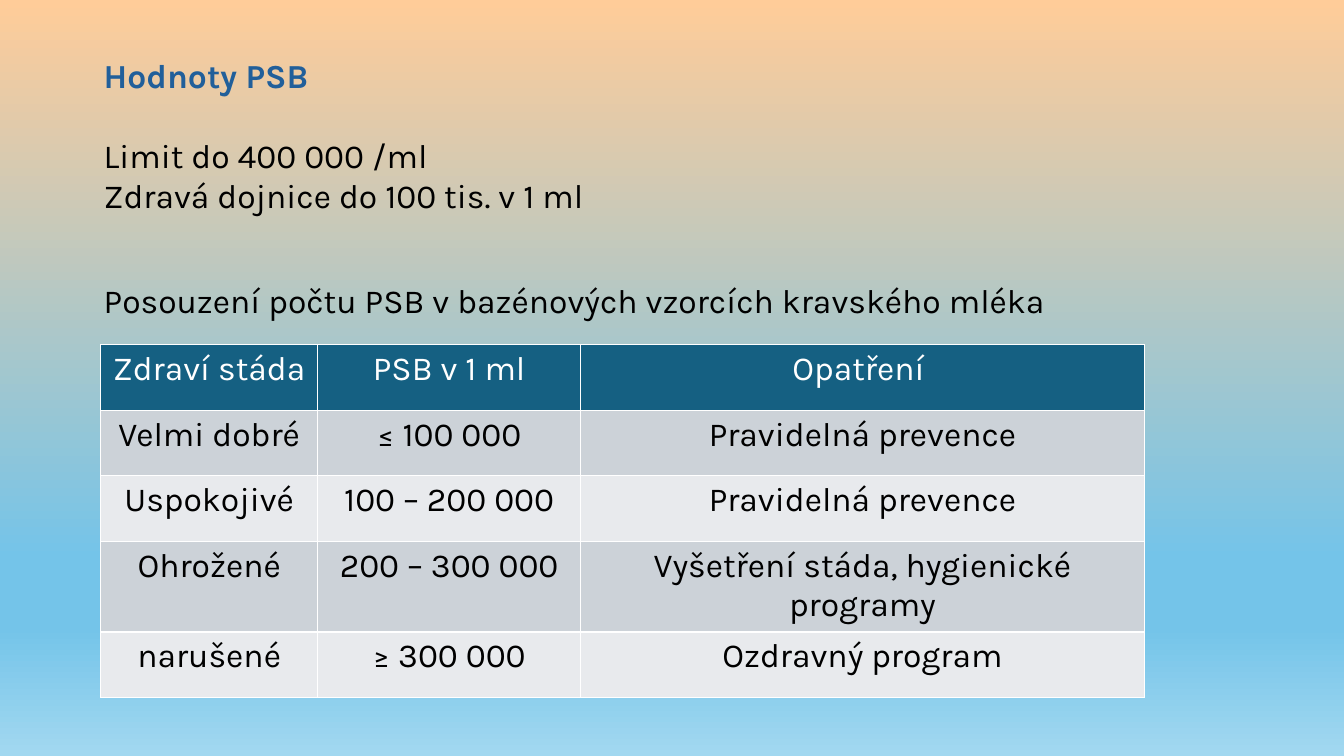
from copy import deepcopy

from lxml import etree
from pptx import Presentation
from pptx.dml.color import RGBColor
from pptx.enum.text import MSO_AUTO_SIZE, PP_ALIGN
from pptx.oxml.ns import qn
from pptx.util import Inches, Pt

CENTER = PP_ALIGN.CENTER
GROW = MSO_AUTO_SIZE.SHAPE_TO_FIT_TEXT

WHITE = RGBColor(0xFF, 0xFF, 0xFF)
BLACK = RGBColor(0x00, 0x00, 0x00)
TITLE_BLUE = RGBColor(0x21, 0x5F, 0x9A)
HEADER_BLUE = RGBColor(0x15, 0x60, 0x82)
BAND_DARK = RGBColor(0xCC, 0xD2, 0xD8)
BAND_LIGHT = RGBColor(0xE8, 0xEA, 0xED)
SKY = [
    (0, RGBColor(0xFF, 0xCC, 0x99)),
    (0.74, RGBColor(0x74, 0xC4, 0xE9)),
    (0.83, RGBColor(0x74, 0xC4, 0xE9)),
    (1, RGBColor(0xA2, 0xD8, 0xF0)),
]


def add_run(paragraph, text, color, bold=False):
    run = paragraph.add_run()
    run.text = text
    run.font.name = "Karla"
    run.font.size = Pt(24)
    run.font.bold = bold
    run.font.color.rgb = color


def add_textbox(left, top, width, height, lines):
    frame = slide.shapes.add_textbox(
        Inches(left), Inches(top), Inches(width), Inches(height)
    ).text_frame
    frame.word_wrap = True
    frame.auto_size = GROW
    for i, (text, color, bold, gap) in enumerate(lines):
        paragraph = frame.add_paragraph() if i else frame.paragraphs[0]
        paragraph.space_after = Pt(gap)
        add_run(paragraph, text, color, bold)


prs = Presentation()
prs.slide_width = Inches(13.33)
prs.slide_height = Inches(7.5)
slide = prs.slides.add_slide(prs.slide_layouts[6])

sky_fill = slide.background.fill
sky_fill.gradient()
sky_fill.gradient_angle = 270
stop_list = slide.element.find(".//" + qn("a:gsLst"))
for _ in SKY[2:]:
    stop_list.append(deepcopy(stop_list[0]))
for stop, (position, color) in zip(sky_fill.gradient_stops, SKY):
    stop.position = position
    stop.color.rgb = color

add_textbox(0.93, 0.5, 9.05, 1.72, [
    ("Hodnoty PSB", TITLE_BLUE, True, 28),
    ("Limit do 400 000 /ml", BLACK, False, 0),
    ("Zdravá dojnice do 100 tis. v 1 ml", BLACK, False, 0),
])

herd_rows = [
    ("Zdraví stáda", "PSB v 1 ml", "Opatření "),
    ("Velmi dobré", "≤ 100 000", "Pravidelná prevence"),
    ("Uspokojivé", "100 – 200 000", "Pravidelná prevence"),
    ("Ohrožené", "200 – 300 000", "Vyšetření stáda, hygienické programy"),
    ("narušené", "≥ 300 000", "Ozdravný program"),
]
herd_table = slide.shapes.add_table(
    len(herd_rows), 3, Inches(1), Inches(3.42), Inches(10.35), Inches(3.25)
).table
for column, width in zip(herd_table.columns, (2.15, 2.61, 5.59)):
    column.width = Inches(width)

for r, herd_row in enumerate(herd_rows):
    herd_table.rows[r].height = Inches(0.65)
    band = HEADER_BLUE if r == 0 else BAND_DARK if r % 2 else BAND_LIGHT
    for c, text in enumerate(herd_row):
        cell = herd_table.cell(r, c)
        paragraph = cell.text_frame.paragraphs[0]
        paragraph.alignment = CENTER
        add_run(paragraph, text, BLACK if r else WHITE)
        cell.fill.solid()
        cell.fill.fore_color.rgb = band
        cell_props = cell._tc.get_or_add_tcPr()
        for i, side in enumerate(("a:lnL", "a:lnR", "a:lnT", "a:lnB")):
            border = etree.Element(qn(side), w=str(Pt(1)))
            line_fill = etree.SubElement(border, qn("a:solidFill"))
            etree.SubElement(line_fill, qn("a:srgbClr"), val=str(WHITE))
            cell_props.insert(i, border)

add_textbox(0.93, 2.73, 10.72, 0.5, [
    ("Posouzení počtu PSB v bazénových vzorcích kravského mléka", BLACK, False, 0),
])

prs.save("out.pptx")
